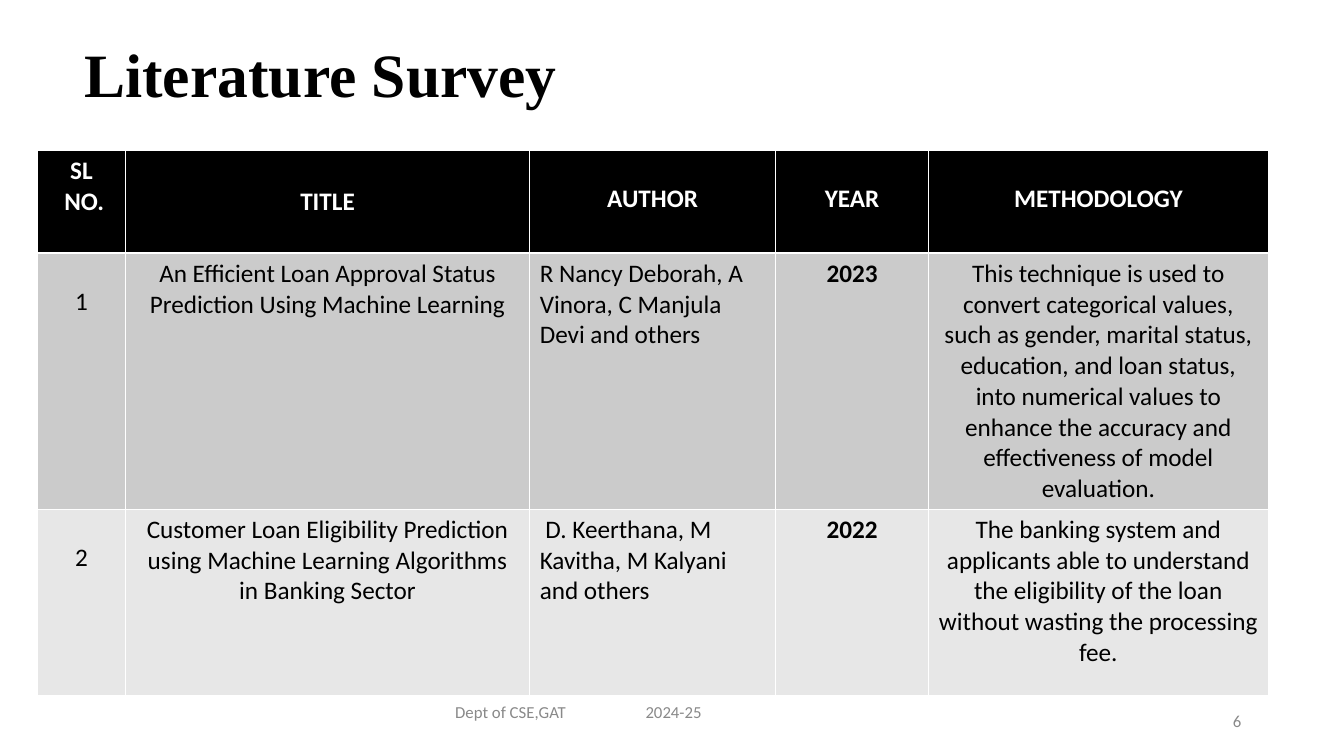
from dataclasses import dataclass

from lxml.etree import SubElement
from pptx import Presentation
from pptx.dml.color import RGBColor
from pptx.enum.text import MSO_ANCHOR, PP_ALIGN
from pptx.oxml.ns import qn
from pptx.util import Pt


@dataclass(frozen=True)
class Theme:
    black: str = "000000"
    white: str = "FFFFFF"
    dark_band: str = "CBCBCB"
    light_band: str = "E7E7E7"
    footer: str = "898989"
    title_font: str = "Times New Roman"
    body_font: str = "Calibri"
    title_size: int = 44
    body_size: int = 18
    footer_size: int = 12


theme = Theme()
LEFT, CENTER, RIGHT = PP_ALIGN.LEFT, PP_ALIGN.CENTER, PP_ALIGN.RIGHT


def style(p, name, size, color, bold=False, align=LEFT):
    p.alignment = align
    p.font.name, p.font.size, p.font.bold = name, Pt(size), bold
    p.font.color.rgb = RGBColor.from_string(color)


def add_line(text, left, top, width, height):
    """Add a one-line, vertically centred text box and return its paragraph."""
    tf = s.shapes.add_textbox(Pt(left), Pt(top), Pt(width), Pt(height)).text_frame
    tf.word_wrap = True
    tf.vertical_anchor = MSO_ANCHOR.MIDDLE
    tf.text = text
    return tf.paragraphs[0]


prs = Presentation()
prs.slide_width, prs.slide_height = Pt(960.48), Pt(540)
s = prs.slides.add_slide(prs.slide_layouts[6])

p = add_line("Literature Survey", 53.28, 2.88, 828, 104.4)
p.line_spacing = 0.9
style(p, theme.title_font, theme.title_size, theme.black, bold=True)

rows = [
    ["SL\n NO.", "TITLE", "AUTHOR", "YEAR", "METHODOLOGY"],
    ["1", "An Efficient Loan Approval Status Prediction Using Machine Learning",
     "R Nancy Deborah, A Vinora, C Manjula Devi and others", "2023",
     "This technique is used to convert categorical values, such as gender, "
     "marital status, education, and loan status, into numerical values to "
     "enhance the accuracy and effectiveness of model evaluation."],
    ["2", "Customer Loan Eligibility Prediction using Machine Learning "
     "Algorithms in Banking Sector",
     " D. Keerthana, M Kavitha, M Kalyani and others", "2022",
     "The banking system and applicants able to understand the eligibility "
     "of the loan without wasting the processing fee."],
]
col_widths = [62.8, 289, 175.7, 109.4, 242.6]
row_heights = [73.4, 182.9, 132.5]
band_fills = [theme.black, theme.dark_band, theme.light_band]
header_tops = [3.6, 25.6, 23.6, 23.6, 23.6]
body_tops = [23.6, 3.6, 3.6, 3.6, 3.6]
AUTHOR_COL, YEAR_COL = 2, 3
THIN, THICK = 0.45, 1.47

table = s.shapes.add_table(len(rows), len(col_widths), Pt(26.8), Pt(107.6),
                           Pt(sum(col_widths)), Pt(sum(row_heights))).table
table.horz_banding = False
for column, width in zip(table.columns, col_widths):
    column.width = Pt(width)
for row, height in zip(table.rows, row_heights):
    row.height = Pt(height)

for i, texts in enumerate(rows):
    header = i == 0
    for j, text in enumerate(texts):
        cell = table.cell(i, j)
        cell.text = text
        cell.margin_top = Pt((header_tops if header else body_tops)[j])
        tcPr = cell._tc.get_or_add_tcPr()
        for side in ("lnL", "lnR", "lnT", "lnB"):
            thick = (i, side) in ((0, "lnB"), (1, "lnT"))
            ln = SubElement(tcPr, qn(f"a:{side}"), w=str(Pt(THICK if thick else THIN)))
            SubElement(SubElement(ln, qn("a:solidFill")), qn("a:srgbClr"), val=theme.white)
        cell.fill.solid()
        cell.fill.fore_color.rgb = RGBColor.from_string(band_fills[i])
        for p in cell.text_frame.paragraphs:
            style(p, theme.body_font, theme.body_size,
                  theme.white if header else theme.black,
                  bold=header or j == YEAR_COL,
                  align=LEFT if j == AUTHOR_COL and not header else CENTER)

p = add_line("Dept of CSE,GAT\t2024-25", 318.24, 494, 324, 28.8)
tabs = SubElement(p._p.get_or_add_pPr(), qn("a:tabLst"))
SubElement(tabs, qn("a:tab"), pos=str(Pt(136)), algn="l")
style(p, theme.body_font, theme.footer_size, theme.footer)

p = add_line("6", 678.24, 500.4, 216, 28.8)
style(p, theme.body_font, theme.footer_size, theme.footer, align=RIGHT)

prs.save("out.pptx")
